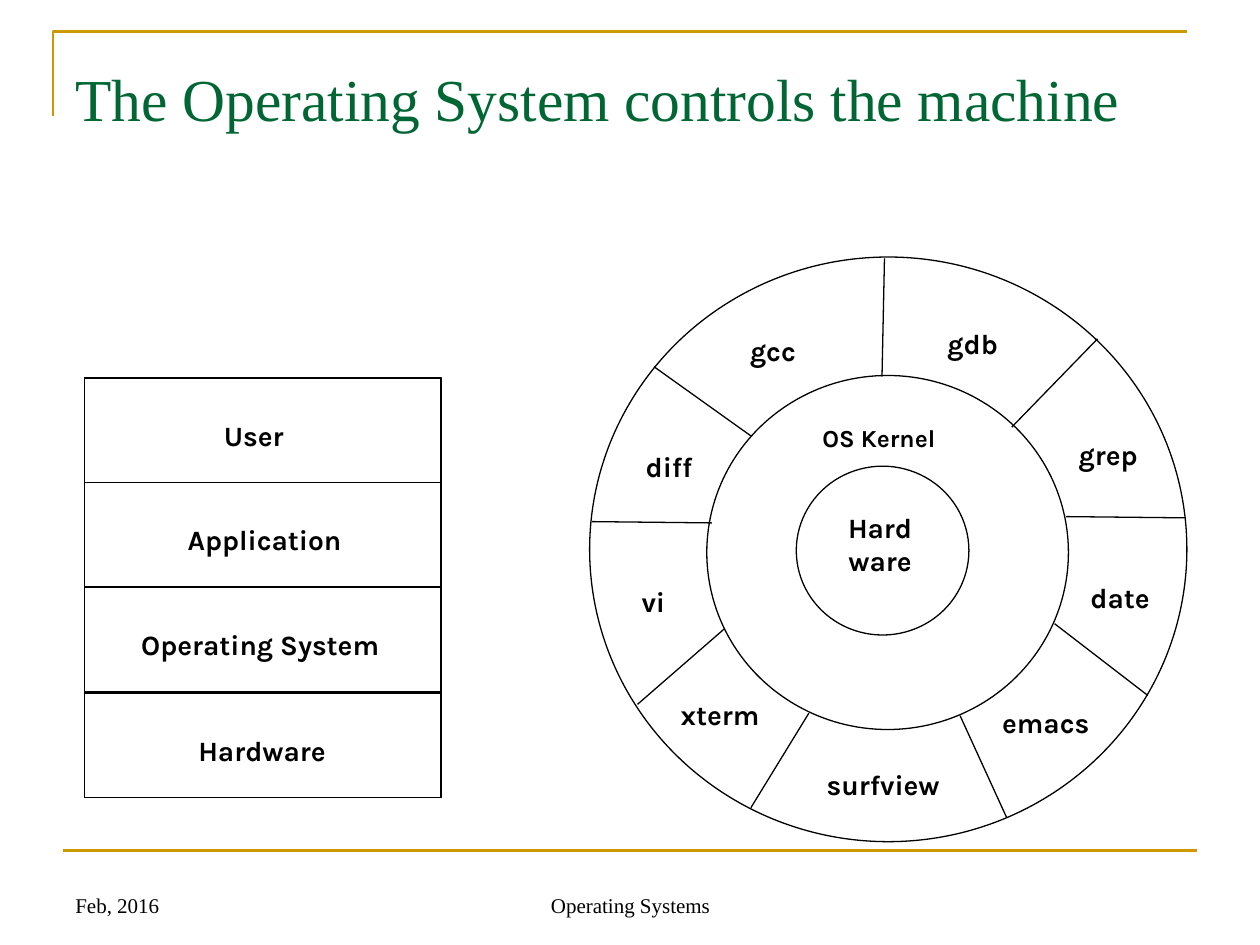
from dataclasses import dataclass

from lxml import etree
from pptx import Presentation
from pptx.dml.color import RGBColor
from pptx.enum.shapes import MSO_CONNECTOR, MSO_SHAPE
from pptx.enum.text import MSO_ANCHOR, MSO_AUTO_SIZE, PP_ALIGN
from pptx.oxml.ns import qn
from pptx.util import Pt

EMU_PER_PX = 9144  # 100 px to the inch
TITLE_ONLY = 5
LEFT, CENTER = PP_ALIGN.LEFT, PP_ALIGN.CENTER
TOP, BOTTOM = MSO_ANCHOR.TOP, MSO_ANCHOR.BOTTOM
FIXED, GROW = MSO_AUTO_SIZE.NONE, MSO_AUTO_SIZE.SHAPE_TO_FIT_TEXT
RECTANGLE, OVAL = MSO_SHAPE.RECTANGLE, MSO_SHAPE.OVAL
STRAIGHT = MSO_CONNECTOR.STRAIGHT


@dataclass(frozen=True)
class Theme:
    ink: RGBColor = RGBColor(0x00, 0x00, 0x00)
    title: RGBColor = RGBColor(0x00, 0x66, 0x33)
    accent: RGBColor = RGBColor(0xCC, 0x99, 0x00)
    serif: str = "Times New Roman"
    sans: str = "Karla"
    title_size: int = 34
    label_size: int = 16
    kernel_size: int = 14
    footer_size: int = 12
    thin: float = 0.75
    rule: float = 1.5


THEME = Theme()

STACK_LEFT, STACK_TOP, STACK_WIDTH, STACK_HEIGHT = 67, 300, 283, 333
# Layer name, label left, label width
LAYERS = [
    ("User", 166, 71),
    ("Application", 137, 146),
    ("Operating System", 97, 219),
    ("Hardware", 143, 130),
]
LABEL_HEIGHT = 37

# Left, top, width, height, from the outer ring inwards
RINGS = [(468, 204, 474, 464), (561, 298, 287, 281), (632, 370, 137, 134)]
SPOKES = [
    ((762, 568), (799, 649)),
    ((837, 495), (911, 552)),
    ((846, 410), (941, 411)),
    ((642, 566), (596, 641)),
    ((575, 499), (506, 559)),
    ((470, 414), (565, 415)),
    ((519, 291), (596, 346)),
    ((702, 205), (700, 299)),
    ((871, 269), (803, 339)),
]
# Program name, label left, top, width
PROGRAMS = [
    ("gcc", 585, 260, 57),
    ("gdb", 741, 254, 62),
    ("emacs", 785, 555, 90),
    ("vi", 499, 459, 39),
    ("date", 854, 456, 70),
    ("grep", 844, 342, 71),
    ("xterm", 528, 549, 87),
    ("surfview", 641, 604, 120),
    ("diff", 502, 352, 58),
]


def px(value):
    return value * EMU_PER_PX


def place(shape, left, top, width, height):
    shape.left, shape.top = px(left), px(top)
    shape.width, shape.height = px(width), px(height)


def write(shape, text, *, size, font=THEME.sans, color=THEME.ink, bold=False,
          align=CENTER, anchor=TOP, wrap=False, fit=GROW):
    frame = shape.text_frame
    frame.text = text
    frame.word_wrap = wrap
    frame.auto_size = fit
    frame.vertical_anchor = anchor
    frame.margin_left = frame.margin_right = px(10)
    frame.margin_top = frame.margin_bottom = px(5)
    for paragraph in frame.paragraphs:
        paragraph.alignment = align
        paragraph.font.size = Pt(size)
        paragraph.font.name = font
        paragraph.font.bold = bold
        paragraph.font.color.rgb = color


def add_label(slide, text, left, top, width, height=LABEL_HEIGHT,
              size=THEME.label_size):
    box = slide.shapes.add_textbox(px(left), px(top), px(width), px(height))
    write(box, text, size=size, bold=True)


def add_footer(slide, text, left, width, align):
    box = slide.shapes.add_textbox(px(left), px(683), px(width), px(50))
    write(box, text, size=THEME.footer_size, font=THEME.serif, align=align,
          anchor=BOTTOM, wrap=True, fit=FIXED)


def style_outline(shape, color=THEME.ink, width=THEME.thin):
    shape.fill.background()
    shape.line.color.rgb = color
    shape.line.width = Pt(width)
    shape.shadow.inherit = False


def add_outline(shapes, kind, left, top, width, height):
    shape = shapes.add_shape(kind, px(left), px(top), px(width), px(height))
    style_outline(shape)


def add_line(slide, start, end, color=THEME.ink, width=THEME.thin):
    line = slide.shapes.add_connector(STRAIGHT, *map(px, start + end))
    line.line.color.rgb = color
    line.line.width = Pt(width)
    etree.SubElement(line._element.spPr, qn("a:effectLst"))


def add_frame(slide):
    """Draw the gold corner above the title and the rule over the footer."""
    builder = slide.shapes.build_freeform(px(42), px(92))
    builder.add_line_segments([(px(42), px(25)), (px(942), px(25))],
                              close=False)
    style_outline(builder.convert_to_shape(), THEME.accent, THEME.rule)
    add_line(slide, (50, 675), (950, 675), THEME.accent, THEME.rule)


def add_title(slide, text):
    title = slide.shapes.title
    place(title, 50, 44, 900, 125)
    write(title, text, size=THEME.title_size, font=THEME.serif,
          color=THEME.title, align=LEFT, wrap=True, fit=FIXED)


def add_stack(slide):
    """Draw the layers from user down to hardware."""
    row_height = STACK_HEIGHT / len(LAYERS)
    tops = [STACK_TOP + round(row * row_height) for row in range(len(LAYERS))]
    group = slide.shapes.add_group_shape()
    add_outline(group.shapes, RECTANGLE, STACK_LEFT, STACK_TOP,
                STACK_WIDTH, STACK_HEIGHT)
    for top in tops:
        add_outline(group.shapes, RECTANGLE, STACK_LEFT, top,
                    STACK_WIDTH, round(row_height))
    for (name, left, width), top in zip(LAYERS, tops):
        add_label(slide, name, left, top + 27, width)


def add_wheel(slide):
    """Draw the programs around the kernel and the hardware."""
    for ring in RINGS:
        add_outline(slide.shapes, OVAL, *ring)
    add_label(slide, "OS Kernel", 640, 331, 115, 34, THEME.kernel_size)
    add_label(slide, "Hard\nware", 661, 400, 75, 64)
    for start, end in SPOKES:
        add_line(slide, start, end)
    for program in PROGRAMS:
        add_label(slide, *program)


def main():
    presentation = Presentation()
    presentation.slide_width, presentation.slide_height = px(1000), px(750)
    layout = presentation.slide_layouts[TITLE_ONLY]
    slide = presentation.slides.add_slide(layout)
    add_frame(slide)
    add_footer(slide, "Feb, 2016", 50, 233, LEFT)
    add_footer(slide, "Operating Systems", 342, 317, CENTER)
    add_title(slide, "The Operating System controls the machine")
    add_stack(slide)
    add_wheel(slide)
    presentation.save("out.pptx")


if __name__ == "__main__":
    main()
